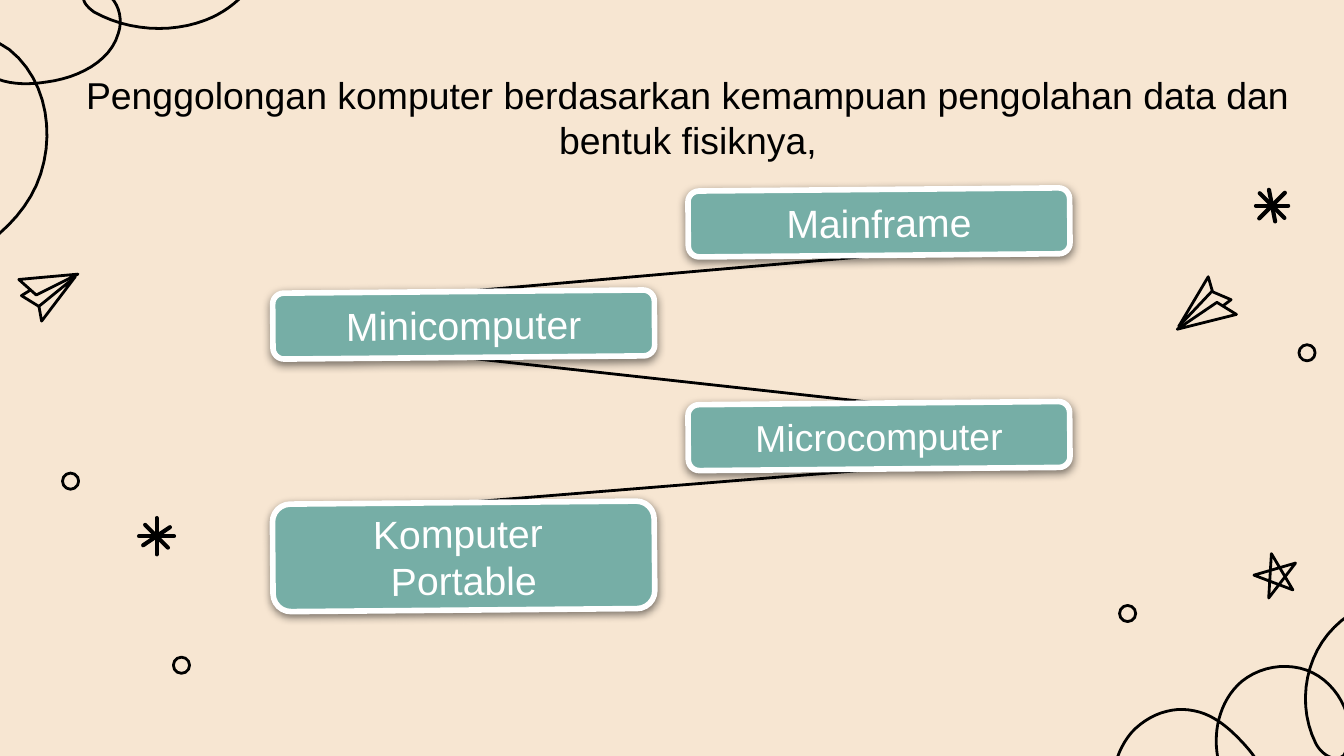
import math

import pptx
import pptx.dml.color
import pptx.enum.shapes
import pptx.enum.text
import pptx.oxml.ns
import pptx.util
from lxml import etree

COLORS = {"paper": "F7E6D2", "ink": "000000", "card": "76AEA6", "white": "FFFFFF"}
COLUMNS, ROWS = 100, 56.25
CELL = pptx.util.Inches(10) / COLUMNS
FONT = "Arial"
SHAPES = pptx.enum.shapes.MSO_SHAPE
ANCHORS = pptx.enum.text.MSO_ANCHOR

CARD_WIDTH, CARD_HEIGHT = 28.4, 4.9
LEFT, RIGHT = 20.3, 51.2
CARDS = [
    (RIGHT, 14.1, CARD_HEIGHT, ["Mainframe"], 21),
    (LEFT, 21.7, CARD_HEIGHT, ["Minicomputer"], 21),
    (RIGHT, 30, CARD_HEIGHT, ["Microcomputer"], 20),
    (LEFT, 37.4, 8, ["Komputer ", "Portable"], 21),
]
RINGS = [(97.25, 26.25), (5.25, 35.8), (13.5, 49.5), (83.9, 45.65)]
SPOKES = [(90, 2.7), (0, 2.6), (-34, 2.4), (45, 2.4)]
STAR = [(94.6, 41.2), (96.2, 43.9), (93.3, 42.8), (96.4, 41.9), (94.4, 44.5)]
PLANES = [
    ([(5.8, 20.4), (1.4, 20.8), (2.7, 21.95)],
     [(5.6, 20.6), (2.9, 22.8), (3.1, 23.9)],
     [(2.9, 22.8), (1.6, 22), (2.25, 21.6)]),
    ([(87.6, 24.5), (92, 23.4), (90.55, 22.5)],
     [(87.7, 24.3), (90.2, 21.65), (89.9, 20.6)],
     [(90.2, 21.7), (91.6, 22.3), (91, 22.75)]),
]
LOOPS = [
    [(19.4, -2.4), (18.7, -.6), (17.1, .8), (15.3, 1.5),
     (12.7, 2.5), (9.5, 2.3), (7, .9), (6.6, .6), (6, .1), (6.3, -.4),
     (6.5, -.6), (6.8, -.7), (7.1, -.7), (8.5, -.7), (9.3, 1.1), (8.8, 2.5),
     (8.2, 4.6), (5.8, 5.8), (3.5, 6.1), (1.7, 6.4), (-.4, 6.3), (-1.6, 4.9),
     (-1.8, 4.6), (-2, 4.4), (-2, 4), (-2, 3.5), (-1.4, 3.1), (-.8, 3),
     (-.3, 3), (.2, 3.4), (.7, 3.7), (3.6, 6), (4.2, 10.4), (2.7, 13.8),
     (1.2, 17.1), (-2.2, 19.4), (-5.8, 20.3)],
    [(86.2, 63.3), (84.3, 63), (83.1, 61.2), (82.9, 59.3),
     (82.6, 57.6), (83.1, 55.8), (84.2, 54.5), (85.4, 53.2), (87.2, 52.5), (88.9, 52.9),
     (90.4, 53.2), (91.6, 54.3), (92.6, 55.4), (93.7, 56.6), (94.7, 58.3), (94.3, 59.9),
     (94.2, 60.1), (94.1, 60.4), (93.9, 60.6), (93.2, 61), (92.4, 60.4), (92, 59.8),
     (91.1, 58.4), (90.5, 56.8), (90.5, 55.1), (90.5, 53.5), (91.1, 51.8), (92.4, 50.7),
     (94, 49.4), (96.4, 49.2), (98.1, 50.3), (99.8, 51.4), (100.8, 53.6), (100.3, 55.6),
     (100.2, 55.8), (100.1, 56), (100, 56.2), (99.3, 56.8), (98.3, 56.1), (97.9, 55.3),
     (96.6, 52.7), (97, 49.4), (98.8, 47.2), (100.6, 45), (103.7, 43.9), (106.5, 44.7)],
]


def cells(*values):
    return [pptx.util.Emu(round(value * CELL)) for value in values]


def color(name):
    return pptx.dml.color.RGBColor.from_string(COLORS[name])


def apply(target, values):
    for name, value in values.items():
        setattr(target, name, value)


def paint_line(shape, name, width):
    shape.line.fill.solid()
    apply(shape.line, {"width": pptx.util.Pt(width)})
    apply(shape.line.color, {"rgb": color(name)})


def add_effects(shape):
    return etree.SubElement(shape._element.spPr, pptx.oxml.ns.qn("a:effectLst"))


def add_shadow(shape):
    attributes = {"blurRad": pptx.util.Pt(4.5), "dist": pptx.util.Pt(1.5),
                  "dir": 5400000, "algn": "bl", "rotWithShape": 0}
    tag = pptx.oxml.ns.qn
    shadow = etree.SubElement(add_effects(shape), tag("a:outerShdw"),
                              {name: str(value) for name, value in attributes.items()})
    tint = etree.SubElement(shadow, tag("a:srgbClr"), val=COLORS["ink"])
    etree.SubElement(tint, tag("a:alpha"), val="50000")


def write(box, lines, size, name, anchor):
    frame = box.text_frame
    margins = {f"margin_{side}": cells(1)[0] for side in ("left", "right", "top", "bottom")}
    apply(frame, {"word_wrap": True, "vertical_anchor": anchor, **margins})
    for index, line in enumerate(lines):
        para = frame.add_paragraph() if index else frame.paragraphs[0]
        para.alignment = pptx.enum.text.PP_ALIGN.CENTER
        span = para.add_run()
        span.text = line
        apply(span.font, {"name": FONT, "size": pptx.util.Pt(size)})
        apply(span.font.color, {"rgb": color(name)})


def add_title(page, text):
    box = page.shapes.add_textbox(*cells(3.1, 4.4, 96.2, 7))
    write(box, [text], 20, "ink", ANCHORS.TOP)


def add_card(page, left, top, height, lines, size):
    card = page.shapes.add_shape(SHAPES.ROUNDED_RECTANGLE, *cells(left, top, CARD_WIDTH, height))
    card.rotation = -0.5
    card.fill.solid()
    card.fill.fore_color.rgb = color("card")
    paint_line(card, "white", 3)
    add_shadow(card)
    write(card, lines, size, "white", ANCHORS.MIDDLE)


def add_line(page, start, end, width=1.5):
    line = page.shapes.add_connector(pptx.enum.shapes.MSO_CONNECTOR.STRAIGHT, *cells(*start, *end))
    paint_line(line, "ink", width)
    add_effects(line)
    return line


def add_outline(page, points, closed):
    start, *others = [cells(*point) for point in points]
    builder = page.shapes.build_freeform(*start, scale=1.0)
    builder.add_line_segments(others, close=closed)
    outline = builder.convert_to_shape()
    outline.fill.background()
    outline.shadow.inherit = False
    paint_line(outline, "ink", 1.5)
    etree.SubElement(outline.line._get_or_add_ln(), pptx.oxml.ns.qn("a:round"))


def smooth_curve(points, steps=12):
    curve = [points[0]]
    for first in range(0, len(points) - 1, 3):
        corners = points[first:first + 4]
        for step in range(1, steps + 1):
            t = step / steps
            weights = [math.comb(3, k) * t ** k * (1 - t) ** (3 - k) for k in range(4)]
            curve.append([sum(w * corner[axis] for w, corner in zip(weights, corners))
                          for axis in (0, 1)])
    return curve


def add_ring(page, x, y, size=1.2):
    ring = page.shapes.add_shape(SHAPES.OVAL, *cells(x - size / 2, y - size / 2, size, size))
    ring.fill.background()
    ring.shadow.inherit = False
    paint_line(ring, "ink", 1.5)


def add_asterisk(page, x, y, turn, direction):
    for angle, length in SPOKES:
        radians = math.radians(turn + direction * angle)
        dx, dy = math.cos(radians) * length / 2, math.sin(radians) * length / 2
        spoke = add_line(page, (x - dx, y - dy), (x + dx, y + dy), 2.2)
        spoke.line._get_or_add_ln().set("cap", "rnd")


def main():
    deck = pptx.Presentation()
    apply(deck, dict(zip(("slide_width", "slide_height"), cells(COLUMNS, ROWS))))
    page = deck.slides.add_slide(deck.slide_layouts[6])
    page.background.fill.solid()
    page.background.fill.fore_color.rgb = color("paper")

    for loop in LOOPS:
        add_outline(page, smooth_curve(loop), False)
    for wing, body, fold in PLANES:
        add_outline(page, wing, True)
        add_outline(page, body, True)
        add_outline(page, fold, False)
    add_outline(page, STAR, True)
    for center in RINGS:
        add_ring(page, *center)
    add_asterisk(page, 11.65, 39.9, 0, 1)
    add_asterisk(page, 94.65, 15.3, 45, -1)

    for upper, lower in zip(CARDS, CARDS[1:]):
        add_line(page, (upper[0] + CARD_WIDTH / 2, upper[1] + upper[2]),
                 (lower[0] + CARD_WIDTH / 2, lower[1]))
    add_title(page, "Penggolongan komputer berdasarkan kemampuan pengolahan data dan bentuk fisiknya,")
    for card in CARDS:
        add_card(page, *card)
    deck.save("out.pptx")


if __name__ == "__main__":
    main()
